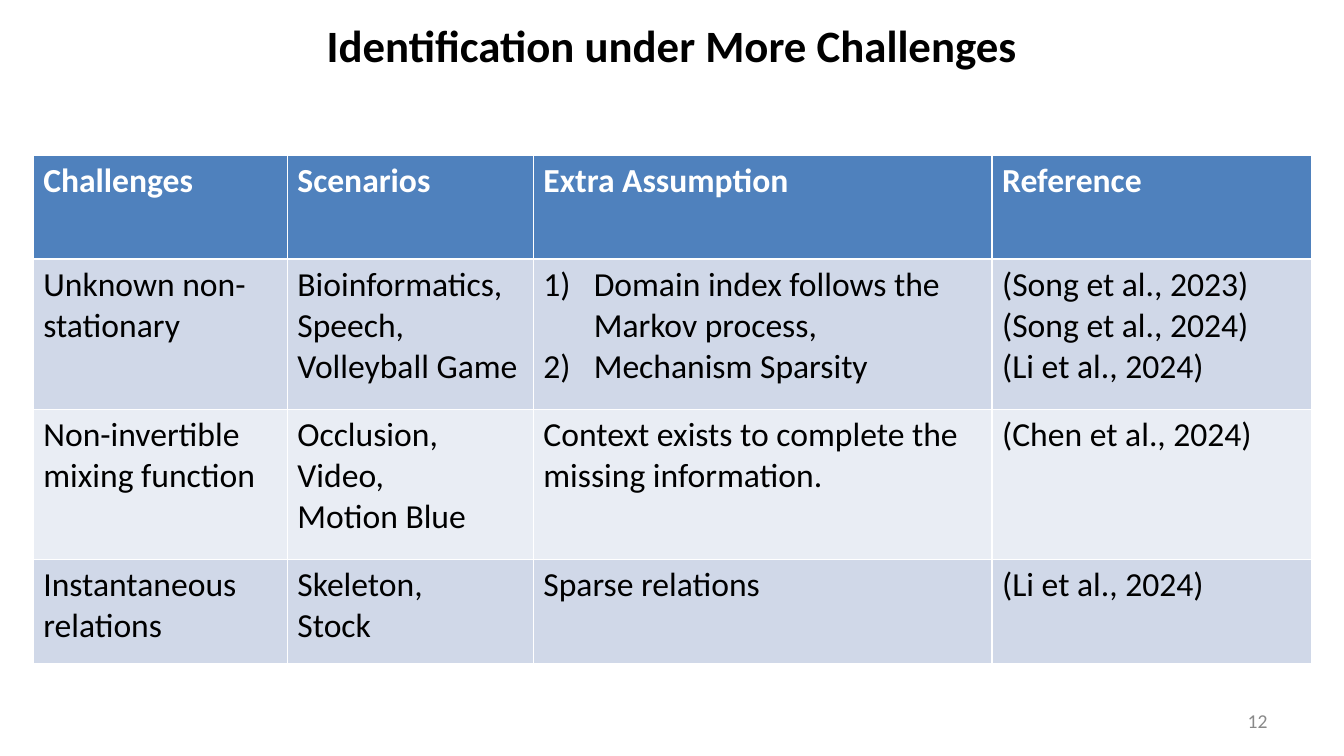
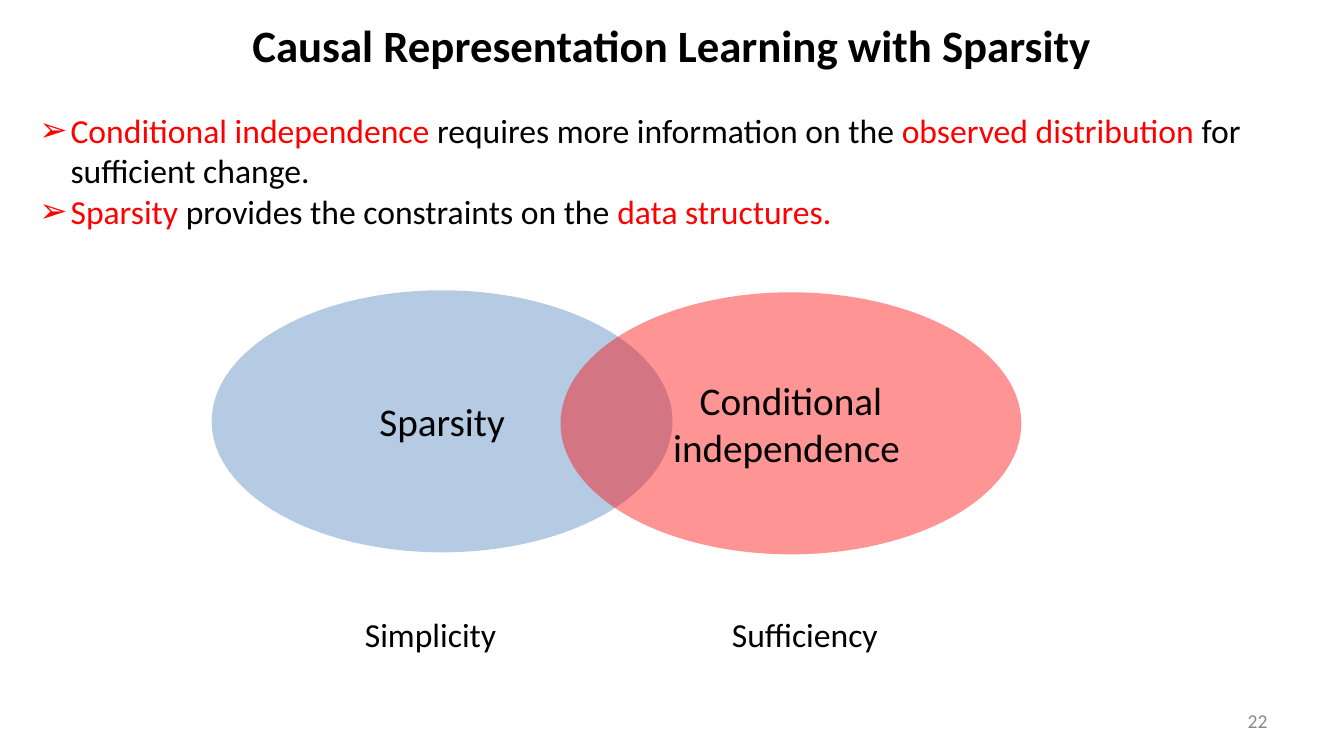
from lxml.etree import SubElement
from pptx import Presentation
from pptx.dml.color import RGBColor
from pptx.enum.shapes import MSO_SHAPE as Shape
from pptx.enum.text import MSO_ANCHOR as Anchor, MSO_AUTO_SIZE as AutoSize, PP_ALIGN as Align
from pptx.oxml.ns import qn
from pptx.util import Inches, Pt

FONT = "Calibri"
BLACK = RGBColor(0x00, 0x00, 0x00)
WHITE = RGBColor(0xFF, 0xFF, 0xFF)
RED = RGBColor(0xFF, 0x00, 0x00)
BLUE = RGBColor(0x4F, 0x81, 0xBD)
GRAY = RGBColor(0x89, 0x89, 0x89)
BANDS = [RGBColor(0xD0, 0xD8, 0xE8), RGBColor(0xE9, 0xED, 0xF4)]

# Content: each table cell is a list of paragraphs
CHALLENGES_TITLE = "Identification under More Challenges"
CHALLENGES = [
    [["Challenges"], ["Scenarios"], ["Extra Assumption"], ["Reference"]],
    [["Unknown non-stationary"],
     ["Bioinformatics, Speech,", "Volleyball Game"],
     ["Domain index follows the Markov process,", "Mechanism Sparsity"],
     ["(Song et al., 2023)", "(Song et al., 2024)", "(Li et al., 2024)"]],
    [["Non-invertible mixing function"],
     ["Occlusion,", "Video,", "Motion Blue"],
     ["Context exists to complete the missing information."],
     ["(Chen et al., 2024)"]],
    [["Instantaneous relations"],
     ["Skeleton,", "Stock"],
     ["Sparse relations"],
     ["(Li et al., 2024)"]],
]
NUMBERED_CELL = (1, 2)
COLUMN_WIDTHS = [2.52, 2.44, 4.55, 3.17]
ROW_HEIGHTS = [1.03, 1.49, 1.49, 1.03]

SPARSITY_TITLE = "Causal Representation Learning with Sparsity"
SPARSITY_POINTS = [
    [("Conditional independence ", RED), ("requires more information on the ", BLACK),
     ("observed distribution ", RED), ("for sufficient change.", BLACK)],
    [("Sparsity ", RED), ("provides the constraints on the ", BLACK),
     ("data structures.", RED)],
]
ELLIPSES = [(2.1, 2.88, BLUE, ["Sparsity"]),
            (5.56, 2.9, RED, ["Conditional", "independence "])]
ELLIPSE_OPACITY = 42
ELLIPSE_LABELS = "Simplicity\tSufficiency"


def style(paragraph, size, color=None, bold=False, align=Align.LEFT):
    paragraph.alignment = align
    font = paragraph.font
    font.name, font.size, font.bold = FONT, Pt(size), bold
    if color is not None:
        font.color.rgb = color


def write(text_frame, lines, size, color, **options):
    text_frame.text = "\n".join(lines)
    for paragraph in text_frame.paragraphs:
        style(paragraph, size, color, **options)


def place(shape, left, top, width, height):
    shape.left, shape.top = Inches(left), Inches(top)
    shape.width, shape.height = Inches(width), Inches(height)


def add_text(slide, box, lines, size, color, **options):
    text_box = slide.shapes.add_textbox(*map(Inches, box))
    text_box.text_frame.word_wrap = True
    write(text_box.text_frame, lines, size, color, **options)
    return text_box


def indent(paragraph, inches):
    properties = paragraph._p.get_or_add_pPr()
    properties.set("marL", str(Inches(inches)))
    properties.set("indent", str(-Inches(inches)))
    return properties


def add_slide(presentation, layout, title, number):
    slide = presentation.slides.add_slide(presentation.slide_layouts[layout])
    place(slide.shapes.title, 0, 0.13, 13.33, 0.75)
    frame = slide.shapes.title.text_frame
    frame.vertical_anchor = Anchor.TOP
    frame.auto_size = AutoSize.NONE
    write(frame, [title], 32, BLACK, bold=True, align=Align.CENTER)
    page = add_text(slide, (9.56, 6.95, 3.11, 0.4), [str(number)], 14, GRAY,
                    align=Align.RIGHT)
    page.text_frame.vertical_anchor = Anchor.MIDDLE
    return slide


def add_challenges_table(slide):
    box = (0.33, 1.54, sum(COLUMN_WIDTHS), sum(ROW_HEIGHTS))
    table = slide.shapes.add_table(len(ROW_HEIGHTS), len(COLUMN_WIDTHS),
                                   *map(Inches, box)).table
    for column, width in zip(table.columns, COLUMN_WIDTHS):
        column.width = Inches(width)
    for row, height in zip(table.rows, ROW_HEIGHTS):
        row.height = Inches(height)
    for r, row in enumerate(CHALLENGES):
        header = r == 0
        for c, lines in enumerate(row):
            cell = table.cell(r, c)
            cell.fill.solid()
            cell.fill.fore_color.rgb = BLUE if header else BANDS[(r - 1) % 2]
            cell.text_frame.text = "\n".join(lines)
            for paragraph in cell.text_frame.paragraphs:
                if (r, c) == NUMBERED_CELL:
                    SubElement(indent(paragraph, 0.5), qn("a:buAutoNum"),
                               type="arabicParenR")
                style(paragraph, 24, WHITE if header else BLACK, bold=header)


def add_points(slide):
    body = slide.placeholders[1]
    place(body, 0.29, 1.04, 12.84, 1.31)
    frame = body.text_frame
    frame.auto_size = AutoSize.NONE
    for i, runs in enumerate(SPARSITY_POINTS):
        paragraph = frame.add_paragraph() if i else frame.paragraphs[0]
        paragraph.space_before = Pt(0)
        properties = indent(paragraph, 0.31)
        bullet_color = SubElement(properties, qn("a:buClr"))
        SubElement(bullet_color, qn("a:srgbClr"), val=str(RED))
        SubElement(properties, qn("a:buFont"), typeface="Arial")
        SubElement(properties, qn("a:buChar"), char="➢")
        style(paragraph, 24)
        for text, color in runs:
            run = paragraph.add_run()
            run.text = text
            run.font.color.rgb = color


def add_ellipse(slide, left, top, color, lines):
    ellipse = slide.shapes.add_shape(Shape.OVAL, *map(Inches, (left, top, 4.57, 2.6)))
    ellipse.shadow.inherit = False
    ellipse.line.fill.background()
    ellipse.fill.solid()
    ellipse.fill.fore_color.rgb = color
    fill_color = ellipse._element.spPr.find(qn("a:solidFill"))[0]
    SubElement(fill_color, qn("a:alpha"), val=str(ELLIPSE_OPACITY * 1000))
    ellipse.text_frame.vertical_anchor = Anchor.MIDDLE
    write(ellipse.text_frame, lines, 28, BLACK, align=Align.CENTER)


def add_ellipse_labels(slide):
    text_box = slide.shapes.add_textbox(*map(Inches, (3.52, 6.04, 5.35, 0.5)))
    text_box.text_frame.word_wrap = True
    paragraph = text_box.text_frame.paragraphs[0]
    paragraph.text = ELLIPSE_LABELS
    tabs = SubElement(paragraph._p.get_or_add_pPr(), qn("a:tabLst"))
    SubElement(tabs, qn("a:tab"), pos=str(Inches(3.64)), algn="l")
    style(paragraph, 24, BLACK)


def main():
    presentation = Presentation()
    presentation.slide_width, presentation.slide_height = Inches(13.33), Inches(7.5)

    # Table of challenges
    slide = add_slide(presentation, 5, CHALLENGES_TITLE, 12)
    add_challenges_table(slide)

    # Sparsity against conditional independence
    slide = add_slide(presentation, 1, SPARSITY_TITLE, 22)
    add_points(slide)
    for ellipse in ELLIPSES:
        add_ellipse(slide, *ellipse)
    add_ellipse_labels(slide)

    presentation.save("out.pptx")


if __name__ == "__main__":
    main()
